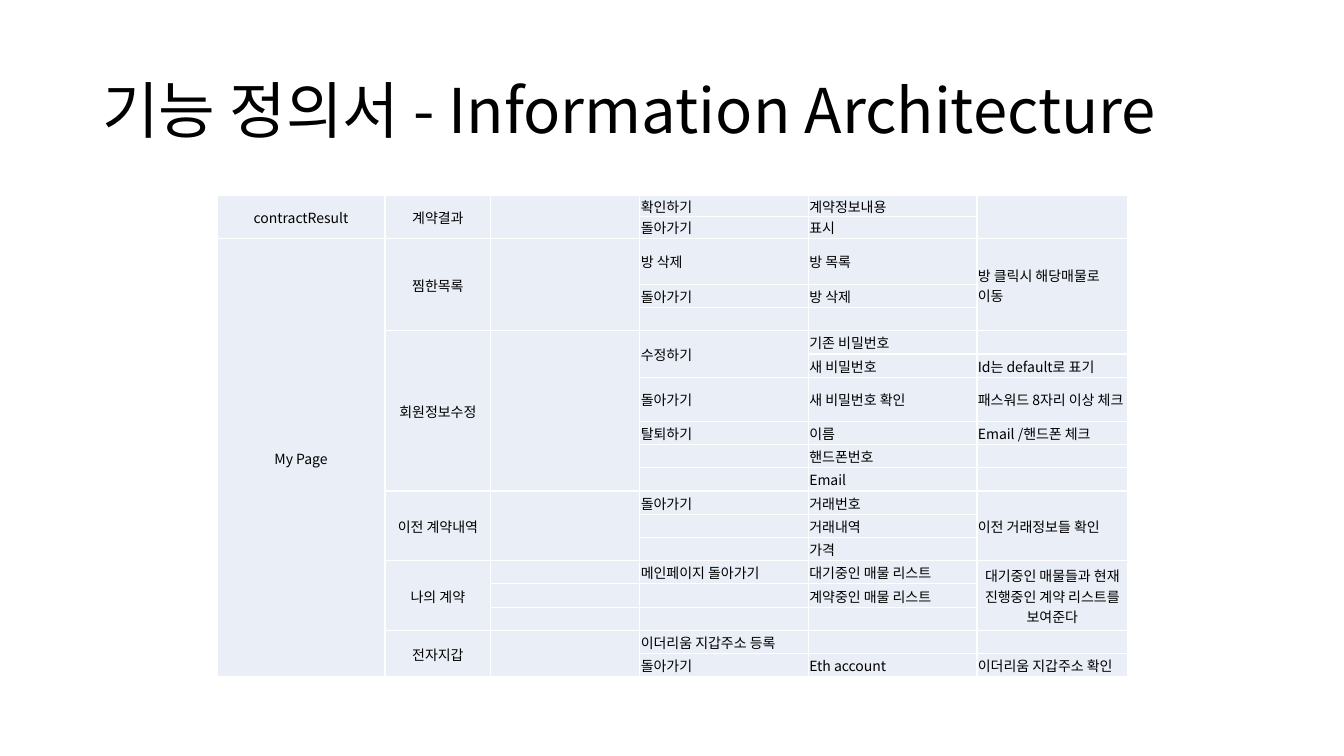
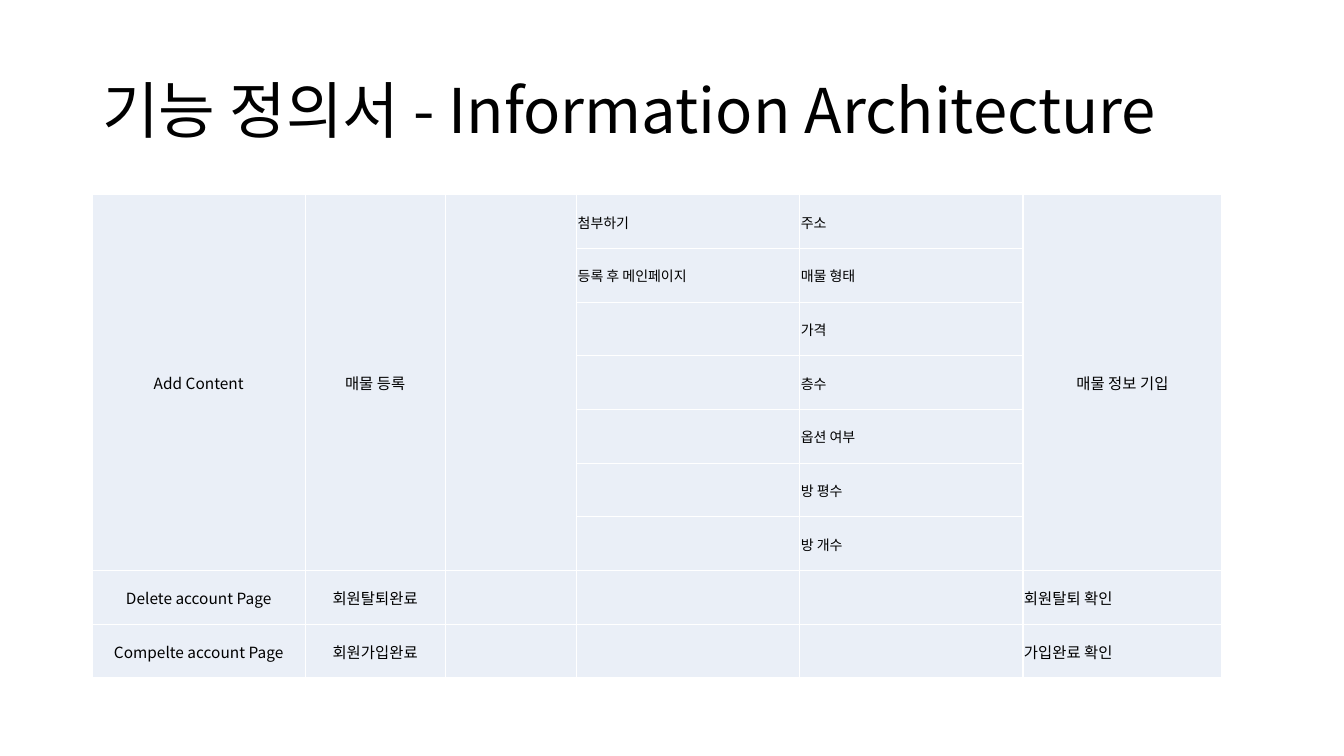
from lxml.etree import SubElement
from pptx import Presentation
from pptx.dml.color import RGBColor
from pptx.enum.text import MSO_ANCHOR, PP_ALIGN
from pptx.oxml.ns import qn
from pptx.util import Pt

FONT = "Noto Sans CJK KR"
BLACK, WHITE, CELL_FILL = "000000", "FFFFFF", "EAEFF7"
TITLE = "기능 정의서 - Information Architecture"
CELL_FORMAT = {
    "margin_left": Pt(0.7),
    "margin_top": Pt(0.7),
    "margin_right": Pt(0.7),
    "margin_bottom": Pt(0),
    "vertical_anchor": MSO_ANCHOR.MIDDLE,
}


def color(hex_value):
    return RGBColor.from_string(hex_value)


def add_text(p, text, size):
    r = p.add_run()
    r.text = text
    for name, value in {"size": Pt(size), "name": FONT}.items():
        setattr(r.font, name, value)
    r.font.color.rgb = color(BLACK)
    SubElement(r.font._element, qn("a:ea"), typeface=FONT)


# In rows, None continues the cell above and "" is an empty cell.
tables = [
    {
        "left": 155, "top": 139.6,
        "cols": [120, 75.6, 106.5, 120.4, 120.4, 107.6],
        "row_heights": [15, 15.7, 32.8] + [16.6] * 4 + [31.6] + [16.6] * 11,
        "sizes": [10] * 6,
        "centred": ["대기중인 매물들과 현재 진행중인 계약 리스트를 보여준다"],
        "rows": [
            ["contractResult", "계약결과", "", "확인하기", "계약정보내용", ""],
            [None, None, None, "돌아가기", "표시", None],
            ["My Page", "찜한목록", "", "방 삭제", "방 목록", "방 클릭시 해당매물로 이동"],
            [None, None, None, "돌아가기", "방 삭제", None],
            [None, None, None, "", "", None],
            [None, "회원정보수정", "", "수정하기", "기존 비밀번호", ""],
            [None, None, None, None, "새 비밀번호", "Id는 default로 표기"],
            [None, None, None, "돌아가기", "새 비밀번호 확인", "패스워드 8자리 이상 체크"],
            [None, None, None, "탈퇴하기", "이름", "Email /핸드폰 체크"],
            [None, None, None, "", "핸드폰번호", ""],
            [None, None, None, "", "Email", ""],
            [None, "이전 계약내역", "", "돌아가기", "거래번호", "이전 거래정보들 확인"],
            [None, None, None, "", "거래내역", None],
            [None, None, None, "", "가격", None],
            [None, "나의 계약", "", "메인페이지 돌아가기", "대기중인 매물 리스트",
             "대기중인 매물들과 현재 진행중인 계약 리스트를 보여준다"],
            [None, None, "", "", "계약중인 매물 리스트", None],
            [None, None, "", "", "", None],
            [None, "전자지갑", "", "이더리움 지갑주소 등록", "", ""],
            [None, None, None, "돌아가기", "Eth account", "이더리움 지갑주소 확인"],
        ],
    },
    {
        "left": 66, "top": 139.2,
        "cols": [152, 100, 94, 159.4, 159.4, 142],
        "row_heights": [38.35] * 9,
        "sizes": [11, 11, 11, 10, 10, 11],
        "centred": ["매물 정보 기입"],
        "rows": [
            ["Add Content", "매물 등록", "", "첨부하기", "주소", "매물 정보 기입"],
            [None, None, None, "등록 후 메인페이지", "매물 형태", None],
            [None, None, None, "", "가격", None],
            [None, None, None, "", "층수", None],
            [None, None, None, "", "옵션 여부", None],
            [None, None, None, "", "방 평수", None],
            [None, None, None, "", "방 개수", None],
            ["Delete account Page", "회원탈퇴완료", "", "", "", "회원탈퇴 확인"],
            ["Compelte account Page", "회원가입완료", "", "", "", "가입완료 확인"],
        ],
    },
]

prs = Presentation()
prs.slide_width, prs.slide_height = Pt(960), Pt(540)

for data in tables:
    s = prs.slides.add_slide(prs.slide_layouts[6])

    tf = s.shapes.add_textbox(Pt(66), Pt(28.8), Pt(828), Pt(104.4)).text_frame
    tf.word_wrap = True
    tf.vertical_anchor = MSO_ANCHOR.MIDDLE
    tf.paragraphs[0].line_spacing = 0.9
    add_text(tf.paragraphs[0], TITLE, 44)

    rows, cols, heights = data["rows"], data["cols"], data["row_heights"]
    table = s.shapes.add_table(len(rows), len(cols), Pt(data["left"]), Pt(data["top"]),
                               Pt(sum(cols)), Pt(sum(heights))).table
    table.first_row = table.horz_banding = False
    for column, width in zip(table.columns, cols):
        column.width = Pt(width)
    for row, height in zip(table.rows, heights):
        row.height = Pt(height)

    for i, row in enumerate(rows):
        for j, text in enumerate(row):
            cell = table.cell(i, j)
            for name, value in CELL_FORMAT.items():
                setattr(cell, name, value)
            tcPr = cell._tc.get_or_add_tcPr()
            for side in ("a:lnL", "a:lnR", "a:lnT", "a:lnB"):
                ln = SubElement(tcPr, qn(side), w=str(Pt(1)))
                SubElement(SubElement(ln, qn("a:solidFill")), qn("a:srgbClr"), val=WHITE)
            cell.fill.solid()
            cell.fill.fore_color.rgb = color(CELL_FILL)

            p = cell.text_frame.paragraphs[0]
            size = data["sizes"][j]
            if text:
                centred = j < 2 or text in data["centred"]
                p.alignment = PP_ALIGN.CENTER if centred else PP_ALIGN.LEFT
                add_text(p, text, size)
            else:
                # Keeps empty cells from stretching their row
                SubElement(p._p, qn("a:endParaRPr"), sz=str(size * 100))

            if text is not None:
                last = i
                while last + 1 < len(rows) and rows[last + 1][j] is None:
                    last += 1
                if last > i:
                    cell.merge(table.cell(last, j))

prs.save("out.pptx")
